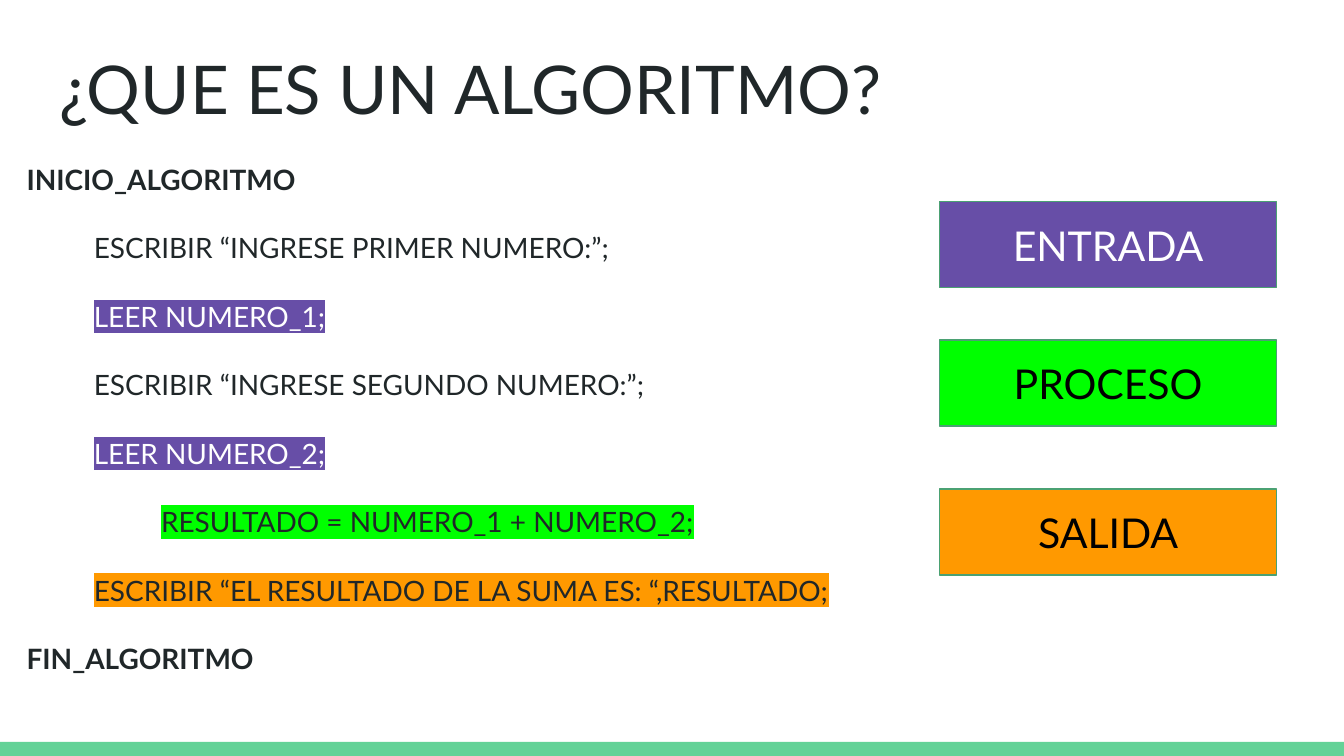
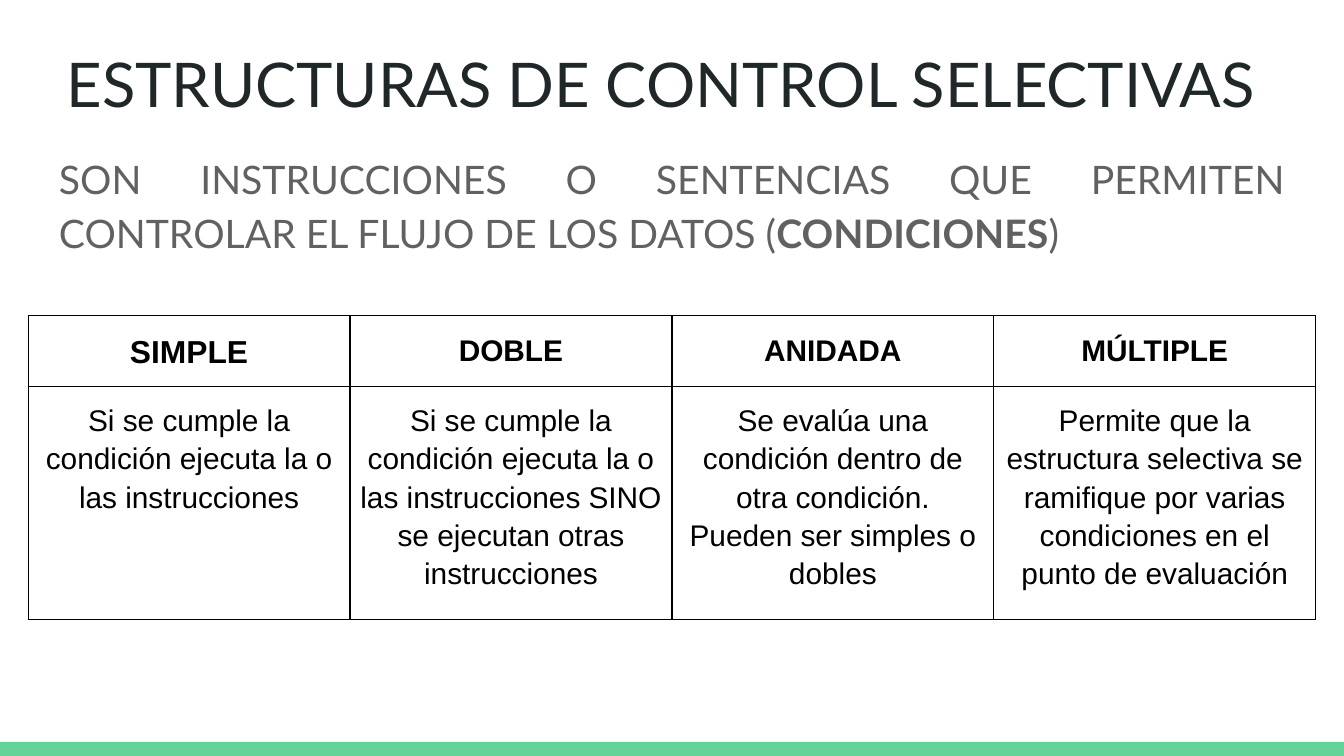
from lxml.etree import SubElement
from pptx import Presentation
from pptx.dml.color import RGBColor
from pptx.enum.shapes import MSO_SHAPE as Shape
from pptx.enum.text import MSO_ANCHOR as Anchor, MSO_AUTO_SIZE as AutoSize, PP_ALIGN as Align
from pptx.oxml.ns import qn
from pptx.util import Inches, Pt

GREEN_BAND = RGBColor(0x63, 0xD2, 0x97)
GREEN_EDGE = RGBColor(0x4B, 0xA1, 0x73)
INK = RGBColor(0x20, 0x27, 0x29)
GREY = RGBColor(0x61, 0x61, 0x61)
WHITE = RGBColor(0xFF, 0xFF, 0xFF)
BLACK = RGBColor(0x00, 0x00, 0x00)
PURPLE = RGBColor(0x67, 0x4E, 0xA7)
LIME = RGBColor(0x00, 0xFF, 0x00)
ORANGE = RGBColor(0xFF, 0x99, 0x00)

deck = Presentation()
deck.slide_width = Inches(10)
deck.slide_height = deck.slide_width * 9 // 16


def style(para, size, color, align=Align.LEFT, bold=False, font="Lato"):
    para.alignment = align
    para.font.name = font
    para.font.size = Pt(size)
    para.font.bold = bold
    para.font.color.rgb = color


def add_page(title, left, top, height, size, align):
    """Add a slide with the green band and its title."""
    page = deck.slides.add_slide(deck.slide_layouts[5])
    band = page.shapes.add_shape(Shape.RECTANGLE, 0, Inches(5.52), Inches(10), Inches(0.11))
    band.shadow.inherit = False
    band.fill.solid()
    band.fill.fore_color.rgb = GREEN_BAND
    band.line.fill.background()

    heading = page.shapes.title
    heading.left, heading.top = Inches(left), Inches(top)
    heading.width, heading.height = Inches(9.32), Inches(height)
    frame = heading.text_frame
    frame.text = title
    frame.auto_size = AutoSize.NONE
    frame.vertical_anchor = Anchor.TOP
    frame.margin_left = frame.margin_right = Inches(0.1)
    frame.margin_top = frame.margin_bottom = Inches(0.1)
    style(frame.paragraphs[0], size, INK, align)
    return page


# Slide 1: the algorithm, with its lines coloured by role
page = add_page("¿QUE ES UN ALGORITMO?", 0.34, 0.25, 0.83, 36, Align.LEFT)

# text, left margin, first-line indent, text colour, highlight
code_lines = [
    ("INICIO_ALGORITMO", 0, 0, INK, None),
    ("ESCRIBIR “INGRESE PRIMER NUMERO:”;", 0, 0.5, INK, None),
    ("LEER NUMERO_1;", 0, 0.5, WHITE, PURPLE),
    ("ESCRIBIR “INGRESE SEGUNDO NUMERO:”;", 0.5, 0, INK, None),
    ("LEER NUMERO_2;", 0, 0.5, WHITE, PURPLE),
    ("RESULTADO = NUMERO_1 + NUMERO_2;", 0.5, 0.5, INK, LIME),
    ("ESCRIBIR “EL RESULTADO DE LA SUMA ES: “,RESULTADO;", 0, 0.5, INK, ORANGE),
    ("FIN_ALGORITMO", 0, 0, INK, None),
]
box = page.shapes.add_textbox(Inches(0.1), Inches(1.07), Inches(6.27), Inches(4.38))
frame = box.text_frame
frame.word_wrap = True
frame.margin_top = frame.margin_bottom = Inches(0.1)
for index, (text, margin, indent, color, highlight) in enumerate(code_lines):
    para = frame.add_paragraph() if index else frame.paragraphs[0]
    span = para.add_run()
    span.text = text
    style(para, 15, color, bold=text.endswith("_ALGORITMO"))
    para.line_spacing = 1.15
    para.space_before = Pt(16 if index else 0)
    properties = para._p.get_or_add_pPr()
    properties.set("marL", str(Inches(margin)))
    properties.set("indent", str(Inches(indent)))
    if highlight:
        marker = SubElement(span._r.get_or_add_rPr(), qn("a:highlight"))
        SubElement(marker, qn("a:srgbClr"), val=str(highlight))

stages = [
    ("ENTRADA", 1.5, PURPLE, WHITE),
    ("PROCESO", 2.53, LIME, BLACK),
    ("SALIDA", 3.64, ORANGE, BLACK),
]
for name, top, fill, color in stages:
    stage = page.shapes.add_shape(
        Shape.RECTANGLE, Inches(6.99), Inches(top), Inches(2.51), Inches(0.64))
    stage.shadow.inherit = False
    stage.fill.solid()
    stage.fill.fore_color.rgb = fill
    stage.line.color.rgb = GREEN_EDGE
    stage.line.width = Pt(0.75)
    stage.text_frame.text = name
    stage.text_frame.vertical_anchor = Anchor.MIDDLE
    style(stage.text_frame.paragraphs[0], 22, color, Align.CENTER)

# Slide 2: definition and table of selective structures
page = add_page("ESTRUCTURAS DE CONTROL SELECTIVAS", 0.26, 0.24, 0.63, 33, Align.CENTER)

box = page.shapes.add_textbox(Inches(0.34), Inches(1), Inches(9.32), Inches(1.09))
frame = box.text_frame
frame.word_wrap = True
frame.margin_top = frame.margin_bottom = Inches(0.1)
para = frame.paragraphs[0]
style(para, 21, GREY, Align.JUSTIFY)
para.line_spacing = 1.15
definition = [
    ("SON INSTRUCCIONES O SENTENCIAS QUE PERMITEN CONTROLAR EL FLUJO DE LOS DATOS (", False),
    ("CONDICIONES", True),
    (")", False),
]
for text, bold in definition:
    span = para.add_run()
    span.text = text
    span.font.bold = bold

structures = [
    ("SIMPLE", "Si se cumple la condición ejecuta la o las instrucciones"),
    ("DOBLE", "Si se cumple la condición ejecuta la o las instrucciones SINO "
              "se ejecutan otras instrucciones"),
    ("ANIDADA", "Se evalúa una condición dentro de otra condición. "
                "Pueden ser simples o dobles"),
    ("MÚLTIPLE", "Permite que la estructura selectiva se ramifique por varias "
                 "condiciones en el punto de evaluación"),
]
table = page.shapes.add_table(
    2, 4, Inches(0.21), Inches(2.35), Inches(9.58), Inches(1.71)).table
table.first_row = table.horz_banding = False
table.rows[0].height = Inches(0.2)
table.rows[1].height = Inches(1.51)
for column, texts in enumerate(structures):
    for row, text in enumerate(texts):
        cell = table.cell(row, column)
        cell.text = text
        cell.margin_left = cell.margin_right = Inches(0.07)
        cell.margin_top = cell.margin_bottom = Inches(0.1)
        para = cell.text_frame.paragraphs[0]
        size = 17 if text == "SIMPLE" else 16
        style(para, size, BLACK, Align.CENTER, bold=row == 0, font="Arial")
        para.line_spacing = 1.15
        para.space_before = Pt(12)
        for side in ("lnL", "lnR", "lnT", "lnB"):
            edge = SubElement(cell._tc.get_or_add_tcPr(), qn(f"a:{side}"), w=str(Pt(0.75)))
            SubElement(SubElement(edge, qn("a:solidFill")), qn("a:srgbClr"), val=str(BLACK))
        cell.fill.background()

deck.save("out.pptx")
